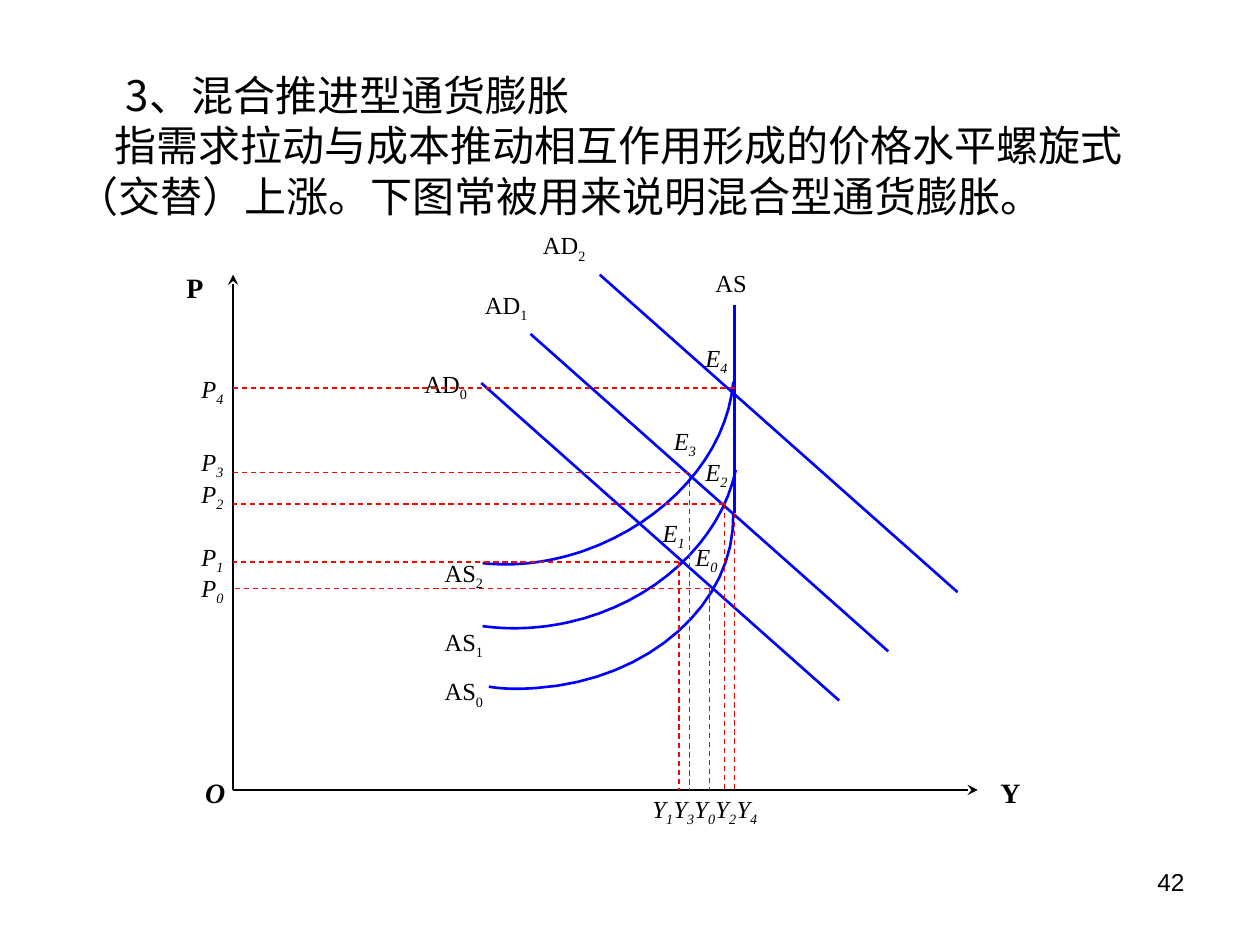
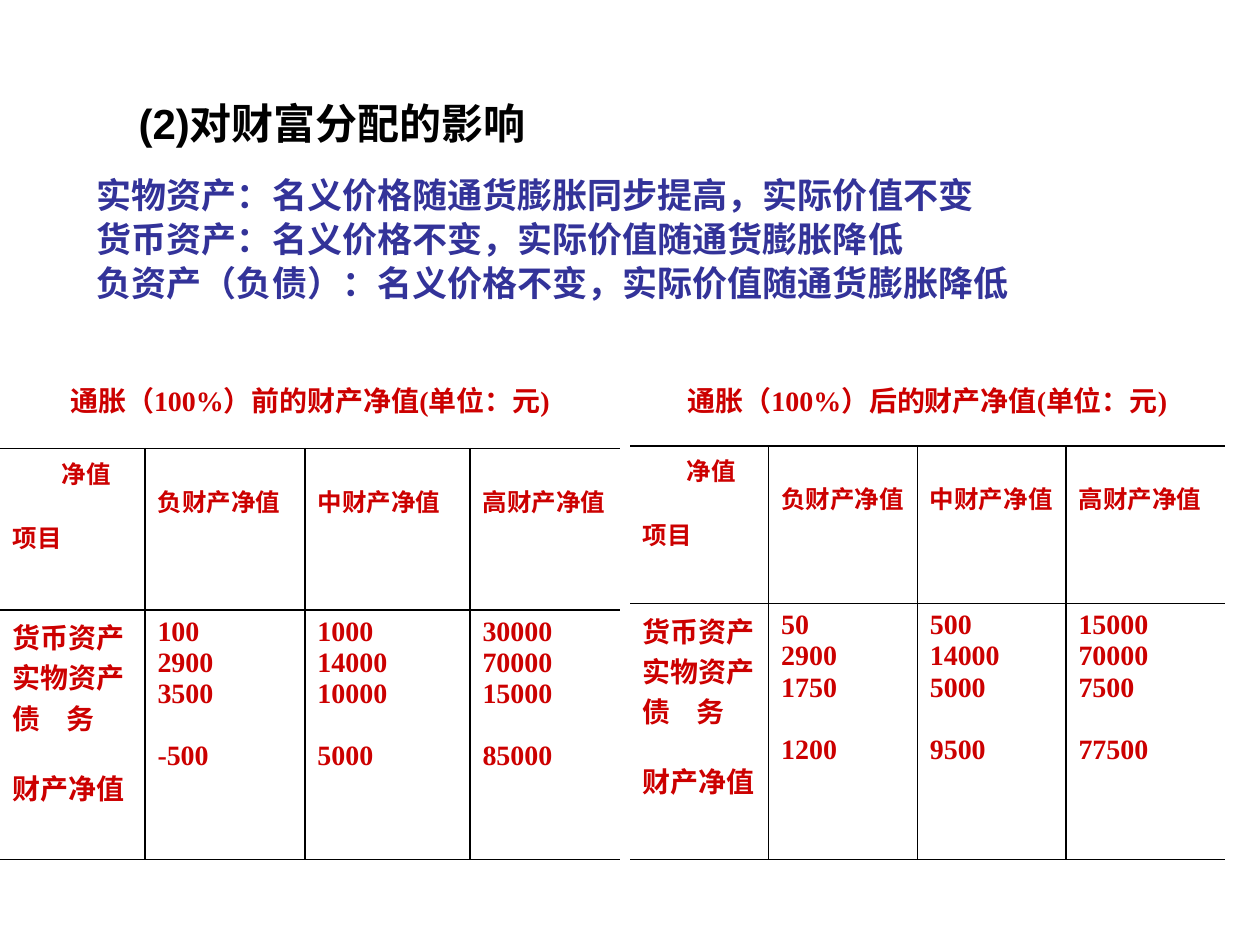
from lxml import etree
from pptx import Presentation, util as u
from pptx.dml.color import RGBColor
from pptx.enum import dml, shapes, text
from pptx.oxml.ns import qn

# ---- Shared style ----
W, H = 10, 7.5
BLACK, BLUE, RED, NAVY, CRIMSON = "000000", "0000FF", "FF0000", "333399", "CC0000"
SERIF, SANS, CJK = "Times New Roman", "Arial", "Noto Sans CJK SC"
PAGE = dict(size=14, font=SANS)
TITLE = dict(size=24, font=CJK)
HEADING = dict(size=24, font=SANS, bold=True)
POINTS = dict(size=20, color=NAVY, bold=True)
LABEL = dict(size=14)
SYMBOL = dict(size=14, italic=True)
AXIS = dict(size=16, bold=True)
CELL = dict(size=16, color=CRIMSON, bold=True)
HEAD_CELL = dict(CELL, size=14)

# ---- Slide 1 content: lengths in inches ----
MIXED = [("3、混合推进型通货膨胀", 0.39),
         ("指需求拉动与成本推动相互作用形成的价格水平螺旋式（交替）上涨。下图常被用来说明混合型通货膨胀。", 0.3)]
ORIGIN, P_TOP, Y_END = (1.85, 6.27), 2.18, 7.76
AXIS_NAMES = [("O", 1.53, 6.11, True), ("Y", 7.84, 6.11, False), ("P", 1.38, 2.1, False)]
# Demand: index, line start, label corner
DEMAND = [("0", (3.82, 3.04), (3.27, 2.88)),
          ("1", (4.21, 2.65), (3.75, 2.25)),
          ("2", (4.76, 2.18), (4.21, 1.78))]
DEMAND_RUN, DEMAND_DROP = 2.84, 2.52
# Supply: index, Bezier points (two joined cubics), label corner
SUPPLY = [
    ("0", [(3.88, 5.45), (4, 5.47), (4.13, 5.47), (4.26, 5.46),
           (5.15, 5.4), (5.84, 4.79), (5.82, 4.07)], (3.43, 5.32)),
    ("1", [(3.83, 4.97), (4.05, 5), (4.28, 4.99), (4.51, 4.94),
           (5.19, 4.79), (5.72, 4.3), (5.84, 3.73)], (3.43, 4.93)),
    ("2", [(3.83, 4.47), (4.1, 4.5), (4.38, 4.46), (4.64, 4.37),
           (5.29, 4.14), (5.77, 3.61), (5.82, 3.03)], (3.43, 4.38))]
FULL_X, FULL_TOP, FULL_BOTTOM = 5.83, 2.42, 4.07
# Equilibria left to right: index, output, price, E label corner, P label top
EQUILIBRIA = [("1", 5.39, 4.46, (5.16, 4.06), 4.25),
              ("3", 5.47, 3.75, (5.25, 3.33), 3.5),
              ("0", 5.63, 4.67, (5.42, 4.25), 4.5),
              ("2", 5.75, 4, (5.5, 3.58), 3.75),
              ("4", 5.83, 3.08, (5.5, 2.67), 2.92)]
Y_LABEL_X, Y_LABEL_STEP, Y_LABEL_TOP, P_LABEL_X = 5.08, 1 / 6, 6.25, 1.5

# ---- Slide 2 content ----
WEALTH = "(2)对财富分配的影响"
EFFECTS = ["实物资产：名义价格随通货膨胀同步提高，实际价值不变",
           "货币资产：名义价格不变，实际价值随通货膨胀降低",
           "负资产（负债）：名义价格不变，实际价值随通货膨胀降低"]
CORNER = ["净值", "项目"]
GROUPS = ["负财产净值", "中财产净值", "高财产净值"]
ITEMS = ["货币资产", "实物资产", "债\t务", "财产净值"]
TABLES = [
    dict(title="通胀（100%）前的财产净值(单位：元)", left=0, indent=0.39,
         cols=[1.15, 1.27, 1.31, 1.19], rows=[0.6, 1.28, 1.98],
         values=[["100", "2900", "3500", "-500"],
                 ["1000", "14000", "10000", "5000"],
                 ["30000", "70000", "15000", "85000"]]),
    dict(title="通胀（100%）后的财产净值(单位：元)", left=W / 2, indent=0.35,
         cols=[1.1, 1.18, 1.18, 1.26], rows=[0.58, 1.25, 2.03],
         values=[["50", "2900", "1750", "1200"],
                 ["500", "14000", "5000", "9500"],
                 ["15000", "70000", "7500", "77500"]])]
TABLE_TOP = 2.96


# ---- Text helpers ----
def rgb(value):
    return RGBColor.from_string(value)


def add_run(p, words, size, font=SERIF, color=BLACK, bold=False, italic=False):
    r = p.add_run()
    r.text = words
    for name, value in dict(size=u.Pt(size), name=font, bold=bold, italic=italic).items():
        setattr(r.font, name, value)
    r.font.color.rgb = rgb(color)
    etree.SubElement(r._r.get_or_add_rPr(), qn("a:ea"), typeface=CJK)
    return r


def next_paragraph(tf, first):
    return tf.paragraphs[0] if first else tf.add_paragraph()


def add_box(s, x, y, w, h, **settings):
    tf = s.shapes.add_textbox(*map(u.Inches, (x, y, w, h))).text_frame
    for name, value in dict(word_wrap=True, **settings).items():
        setattr(tf, name, value)
    return tf


def add_label(s, letter, index, x, y, style, w=0.38):
    tf = add_box(s, x, y, w, 0.33, margin_right=0)
    add_run(tf.paragraphs[0], letter, **style)
    if index:
        r = add_run(tf.paragraphs[0], index, **style)
        r._r.get_or_add_rPr().set("baseline", "-25000")


# ---- Line helpers ----
def set_line(sp, color, width, dashed=False):
    sp.line.color.rgb = rgb(color)
    sp.line.width = u.Pt(width)
    if dashed:
        sp.line.dash_style = dml.MSO_LINE.DASH


def add_line(s, start, end, color, width, dashed=False, arrow=False):
    sp = s.shapes.add_connector(shapes.MSO_CONNECTOR.STRAIGHT, *map(u.Inches, (*start, *end)))
    set_line(sp, color, width, dashed)
    if arrow:
        etree.SubElement(sp.line._get_or_add_ln(), qn("a:tailEnd"), type="stealth")
    etree.SubElement(sp._element.spPr, qn("a:effectLst"))


def bezier(a, b, c, d, steps=16):
    for i in range(1, steps + 1):
        t = i / steps
        v = 1 - t
        yield tuple(u.Inches(v**3 * j + 3 * v * v * t * k + 3 * v * t * t * m + t**3 * n)
                    for j, k, m, n in zip(a, b, c, d))


def add_curve(s, points):
    builder = s.shapes.build_freeform(*map(u.Inches, points[0]))
    for i in range(0, len(points) - 1, 3):
        builder.add_line_segments(bezier(*points[i:i + 4]), close=False)
    sp = builder.convert_to_shape()
    sp.fill.background()
    sp.shadow.inherit = False
    set_line(sp, BLUE, 1.5)


# ---- Table helpers ----
def set_borders(cell, sides):
    tcPr = cell._tc.get_or_add_tcPr()
    for side in "LRTB":
        ln = etree.SubElement(tcPr, qn("a:ln" + side), w=str(u.Pt(1)))
        if side in sides:
            fill = etree.SubElement(ln, qn("a:solidFill"))
            etree.SubElement(fill, qn("a:srgbClr"), val=BLACK)
        else:
            etree.SubElement(ln, qn("a:noFill"))
    cell.fill.background()


def fill_cell(cell, lines, style, last_gap=0):
    for i, line in enumerate(lines):
        p = next_paragraph(cell.text_frame, i == 0)
        if "\t" in line:
            tabs = etree.SubElement(p._p.get_or_add_pPr(), qn("a:tabLst"))
            etree.SubElement(tabs, qn("a:tab"), pos=str(u.Inches(0.43)), algn="l")
        if i and i == len(lines) - 1:
            p.space_before = u.Pt(last_gap)
        add_run(p, line, **style)


def add_wealth_table(s, title, left, indent, cols, rows, values):
    frame = s.shapes.add_table(len(rows), len(cols), *map(
        u.Inches, (left, TABLE_TOP, sum(cols), sum(rows))))
    table = frame.table
    table.first_row = table.horz_banding = False
    for col, width in zip(table.columns, cols):
        col.width = u.Inches(width)
    for row, height in zip(table.rows, rows):
        row.height = u.Inches(height)
    last = len(cols) - 1
    for i in range(len(rows)):
        for j in range(len(cols)):
            inner = ("L" if j else "") + ("R" if j < last else "")
            set_borders(table.cell(i, j), "TB" + inner if i else "B")
    table.cell(0, 0).merge(table.cell(0, last))
    fill_cell(table.cell(0, 0), [title], CELL)
    table.cell(0, 0).text_frame.paragraphs[0].alignment = text.PP_ALIGN.CENTER
    corner = table.cell(1, 0)
    fill_cell(corner, CORNER, HEAD_CELL, 16)
    corner.text_frame.paragraphs[0]._p.get_or_add_pPr().set("marL", str(u.Inches(indent)))
    fill_cell(table.cell(2, 0), ITEMS, CELL, 17)
    for j, (group, amounts) in enumerate(zip(GROUPS, values), 1):
        table.cell(1, j).margin_top = u.Inches(0.27)
        fill_cell(table.cell(1, j), [group], HEAD_CELL)
        fill_cell(table.cell(2, j), amounts, CELL, 18)


# ---- Slides ----
def build_mixed_inflation(s):
    tf = add_box(s, 7.17, 6.83, 2.33, 0.52)
    tf.paragraphs[0].alignment = text.PP_ALIGN.RIGHT
    add_run(tf.paragraphs[0], "42", **PAGE)
    tf = add_box(s, 0.51, 0.44, 8.98, 1.42, vertical_anchor=text.MSO_ANCHOR.MIDDLE)
    for i, (words, indent) in enumerate(MIXED):
        p = next_paragraph(tf, i == 0)
        p._p.get_or_add_pPr().set("indent", str(u.Inches(indent)))
        add_run(p, words, **TITLE)

    # Axes
    x0, y0 = ORIGIN
    for end in [(x0, P_TOP), (Y_END, y0)]:
        add_line(s, ORIGIN, end, BLACK, 1, arrow=True)
    for letter, x, y, italic in AXIS_NAMES:
        add_label(s, letter, "", x, y, dict(AXIS, italic=italic), 0.39)

    # Demand and supply
    for index, (x, y), corner in DEMAND:
        add_line(s, (x, y), (x + DEMAND_RUN, y + DEMAND_DROP), BLUE, 1.5)
        add_label(s, "AD", index, *corner, LABEL, 0.55)
    for index, points, corner in SUPPLY:
        add_curve(s, points)
        add_label(s, "AS", index, *corner, LABEL, 0.62)
    add_line(s, (FULL_X, FULL_BOTTOM), (FULL_X, FULL_TOP), BLUE, 1.5)
    add_label(s, "AS", "", 5.58, 2.08, LABEL, 0.45)

    # Equilibria with their guides
    for i, (index, x, price, corner, p_top) in enumerate(EQUILIBRIA):
        drop_top = FULL_BOTTOM if x == FULL_X else price
        add_line(s, (x, price), (x0, price), RED, 0.75, dashed=True)
        add_line(s, (x, drop_top), (x, y0), RED, 0.75, dashed=True)
        add_label(s, "E", index, *corner, SYMBOL)
        add_label(s, "P", index, P_LABEL_X, p_top, SYMBOL)
        add_label(s, "Y", index, Y_LABEL_X + i * Y_LABEL_STEP, Y_LABEL_TOP, SYMBOL)


def build_wealth_effects(s):
    tf = add_box(s, 0, 0.28, 9.51, 6.41, margin_left=u.Inches(1.1), margin_top=u.Inches(0.49))
    add_run(tf.paragraphs[0], WEALTH, **HEADING)
    tf = add_box(s, 0.67, 1.39, 9.33, 1.25)
    for i, words in enumerate(EFFECTS):
        p = next_paragraph(tf, i == 0)
        p.line_spacing = 0.8
        if i:
            p.space_before = u.Pt(6)
        add_run(p, words, **POINTS)
    for content in TABLES:
        add_wealth_table(s, **content)


def main():
    prs = Presentation()
    prs.slide_width, prs.slide_height = u.Inches(W), u.Inches(H)
    for build in (build_mixed_inflation, build_wealth_effects):
        build(prs.slides.add_slide(prs.slide_layouts[6]))
    prs.save("out.pptx")


if __name__ == "__main__":
    main()
